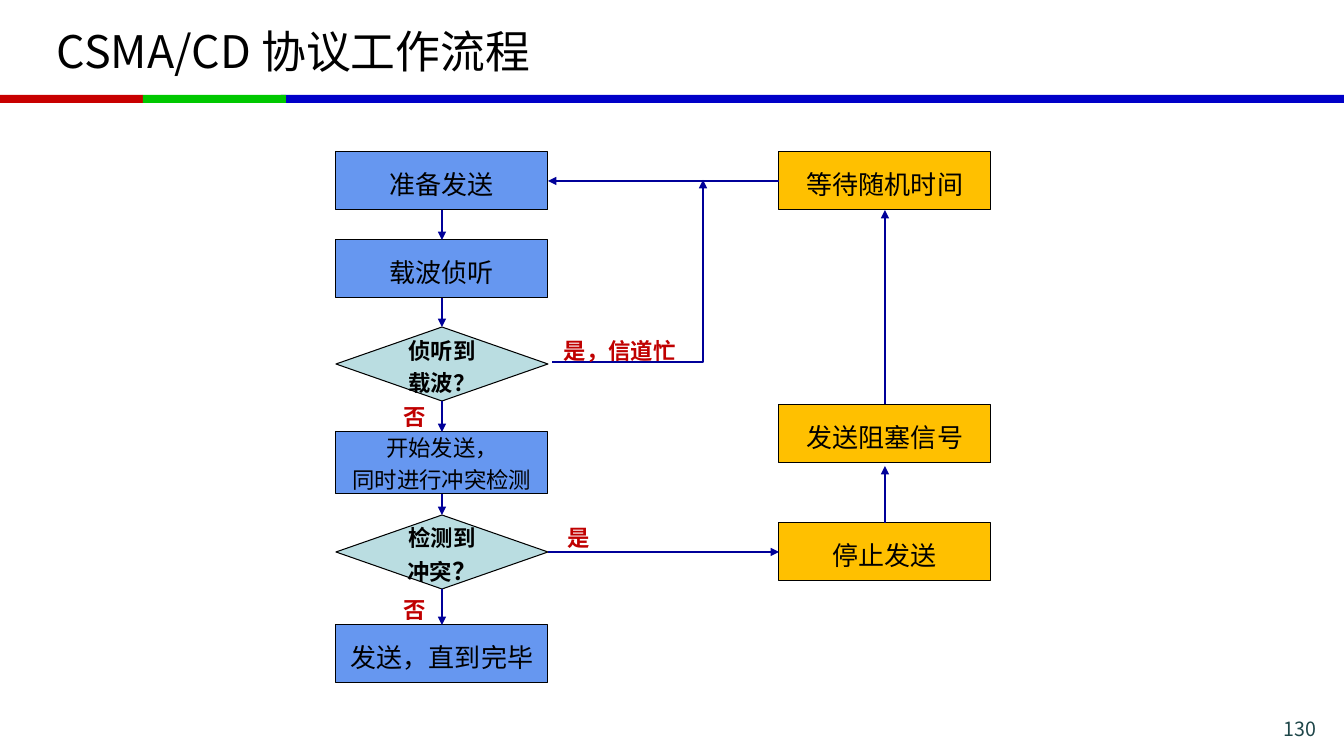
"""Build the CSMA/CD workflow slide."""
from dataclasses import dataclass

from lxml.etree import SubElement
from pptx import Presentation
from pptx.dml.color import RGBColor
from pptx.enum.shapes import MSO_CONNECTOR, MSO_SHAPE
from pptx.enum.text import MSO_ANCHOR, PP_ALIGN
from pptx.oxml.ns import qn
from pptx.util import Pt

EMU_PER_PX = 9071.43


@dataclass(frozen=True)
class Theme:
    """Colours, type sizes and line widths of the slide."""
    font: str = "Noto Sans CJK SC"
    black: str = "000000"
    red: str = "C80000"
    green: str = "00C800"
    blue: str = "0000C8"
    send: str = "6697F0"
    decision: str = "BADDE1"
    backoff: str = "FFC000"
    arrow: str = "000099"
    answer: str = "C00000"
    number: str = "1E4649"
    title_size: float = 32
    step_size: float = 18.6
    mark_size: float = 17.4
    small_size: float = 16
    number_size: float = 14
    border: float = 0.75
    arrow_width: float = 1.5


THEME = Theme()
STEP_W, STEP_H = 212, 58
DECISION_H = 74
SEND_X, BACKOFF_X = 336, 779
SEND_MID, BACKOFF_MID = SEND_X + STEP_W // 2, BACKOFF_X + STEP_W // 2


def px(*lengths):
    """Turn pixel lengths into EMU."""
    return [round(length * EMU_PER_PX) for length in lengths]


def rgb(colour):
    """Turn a hex string into a colour."""
    return RGBColor.from_string(colour)


def style(paragraph, size, colour, bold=False, align=PP_ALIGN.LEFT, spacing=1.2):
    """Set the font, alignment and line spacing of a paragraph."""
    paragraph.alignment = align
    paragraph.line_spacing = spacing
    font = paragraph.font
    font.size, font.bold, font.name = Pt(size), bold, THEME.font
    font.color.rgb = rgb(colour)
    SubElement(font._element, qn("a:ea"), typeface=THEME.font)


def add_block(slide, kind, box, fill):
    """Add a plain filled shape without border."""
    block = slide.shapes.add_shape(kind, *px(*box))
    block.shadow.inherit = False
    block.fill.solid()
    block.fill.fore_color.rgb = rgb(fill)
    block.line.fill.background()
    return block


def add_node(slide, kind, box, fill, lines, size, bold=False):
    """Add a bordered flowchart node with centred text."""
    node = add_block(slide, kind, box, fill)
    node.line.color.rgb = rgb(THEME.black)
    node.line.width = Pt(THEME.border)
    frame = node.text_frame
    frame.word_wrap = True
    frame.vertical_anchor = MSO_ANCHOR.MIDDLE
    frame.text = "\n".join(lines)
    for paragraph in frame.paragraphs:
        style(paragraph, size, THEME.black, bold, PP_ALIGN.CENTER)
    return frame


def add_step(slide, left, top, fill, text):
    """Add a one-line step of the standard size."""
    add_node(slide, MSO_SHAPE.RECTANGLE, (left, top, STEP_W, STEP_H),
             fill, [text], THEME.step_size)


def add_decision(slide, top, text):
    """Add a decision diamond in the sending column."""
    return add_node(slide, MSO_SHAPE.DIAMOND, (SEND_X, top, STEP_W, DECISION_H),
                    THEME.decision, [text], THEME.small_size, True)


def add_text(slide, box, text, size, colour, wrap=True, anchor=MSO_ANCHOR.TOP, **options):
    """Add a one-paragraph text box."""
    frame = slide.shapes.add_textbox(*px(*box)).text_frame
    frame.word_wrap = wrap
    frame.vertical_anchor = anchor
    frame.text = text
    style(frame.paragraphs[0], size, colour, **options)


def add_arrow(slide, start, end, kind=MSO_CONNECTOR.STRAIGHT):
    """Add an arrow; an elbow one turns a single corner."""
    arrow = slide.shapes.add_connector(kind, *px(*start, *end))
    arrow.line.color.rgb = rgb(THEME.arrow)
    arrow.line.width = Pt(THEME.arrow_width)
    properties = arrow._element.spPr
    SubElement(arrow.line._get_or_add_ln(), qn("a:tailEnd"), type="triangle")
    SubElement(properties, qn("a:effectLst"))
    if kind == MSO_CONNECTOR.ELBOW:
        properties.find(qn("a:prstGeom")).set("prst", "bentConnector2")


def add_header(slide):
    """Add the title, the three-colour band and the page number."""
    for left, width, colour in ((281, 1063, THEME.blue), (0, 143, THEME.red),
                                (143, 143, THEME.green)):
        add_block(slide, MSO_SHAPE.RECTANGLE, (left, 95, width, 8), colour)
    add_text(slide, (47, 8, 1249, 85), "CSMA/CD 协议工作流程", THEME.title_size,
             THEME.black, anchor=MSO_ANCHOR.MIDDLE, spacing=1.0)
    add_text(slide, (1195, 712, 131, 28), "130", THEME.number_size,
             THEME.number, align=PP_ALIGN.RIGHT, spacing=1.0)


def add_nodes(slide):
    """Add the steps and decisions of both columns."""
    for top, text in ((152, "准备发送"), (240, "载波侦听"), (625, "发送，直到完毕")):
        add_step(slide, SEND_X, top, THEME.send, text)
    for top, text in ((152, "等待随机时间"), (405, "发送阻塞信号"), (523, "停止发送")):
        add_step(slide, BACKOFF_X, top, THEME.backoff, text)
    detection = add_node(slide, MSO_SHAPE.RECTANGLE, (SEND_X, 432, STEP_W, 62), THEME.send,
                         ["开始发送，", "同时进行冲突检测"], THEME.small_size)
    detection.margin_top = 0
    add_decision(slide, 327, "侦听到载波？")
    collision = add_decision(slide, 515, "检测到冲突")
    mark = collision.paragraphs[0].add_run()
    mark.text = "？"
    mark.font.size = Pt(THEME.mark_size)


def add_flow(slide):
    """Add the arrows and the answers beside them."""
    for start, end in ((210, 240), (298, 327), (401, 432), (494, 515), (589, 625)):
        add_arrow(slide, (SEND_MID, start), (SEND_MID, end))
    for start, end in ((523, 466), (404, 210)):
        add_arrow(slide, (BACKOFF_MID, start), (BACKOFF_MID, end))
    add_arrow(slide, (SEND_X + STEP_W, 552), (BACKOFF_X, 552))
    add_arrow(slide, (BACKOFF_X, 181), (SEND_X + STEP_W, 181))
    add_arrow(slide, (552, 362), (703, 180), MSO_CONNECTOR.ELBOW)
    for left, top, width, answer in ((554, 327, 133, "是，信道忙"), (558, 514, 43, "是"),
                                     (394, 586, 43, "否"), (394, 393, 43, "否")):
        add_text(slide, (left, top, width, 40), answer, THEME.small_size,
                 THEME.answer, wrap=False, bold=True)


def main():
    """Build and save the slide."""
    deck = Presentation()
    deck.slide_width, deck.slide_height = px(1344, 756)
    slide = deck.slides.add_slide(deck.slide_layouts[6])
    add_header(slide)
    add_nodes(slide)
    add_flow(slide)
    deck.save("out.pptx")


if __name__ == "__main__":
    main()
